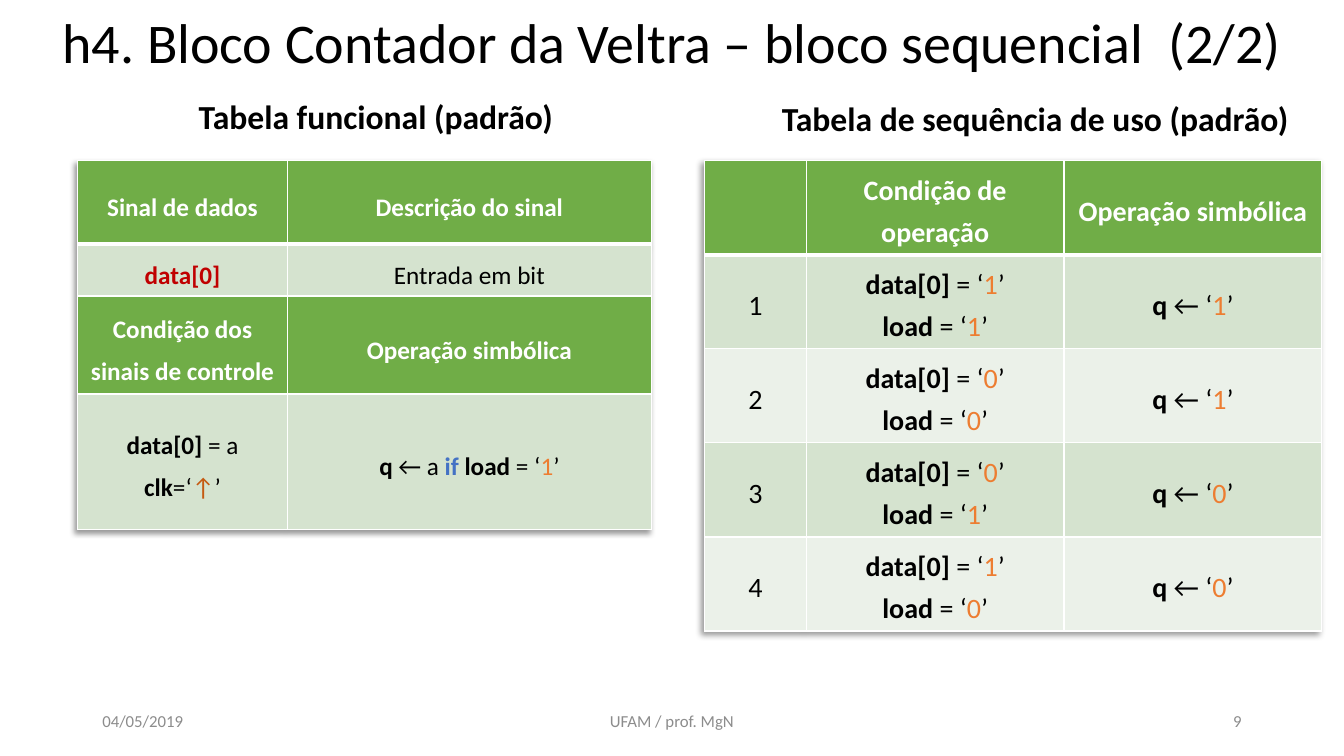
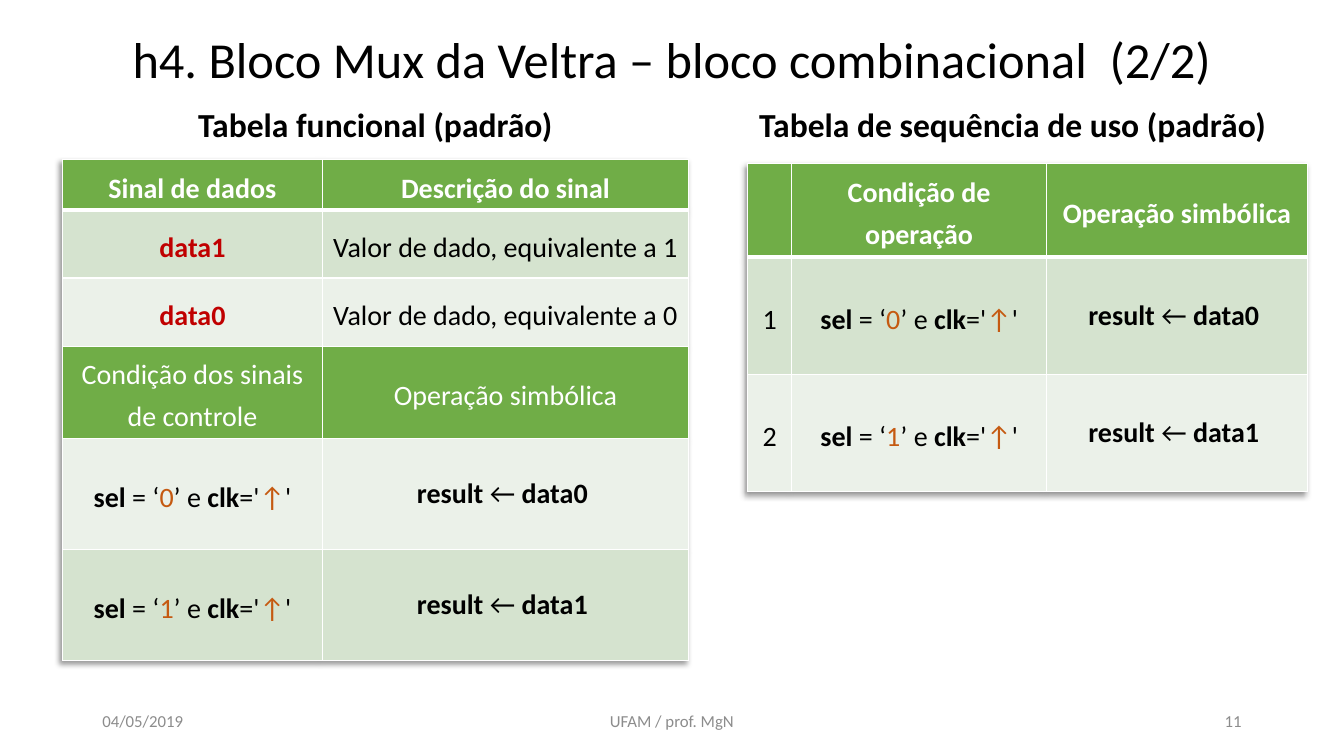
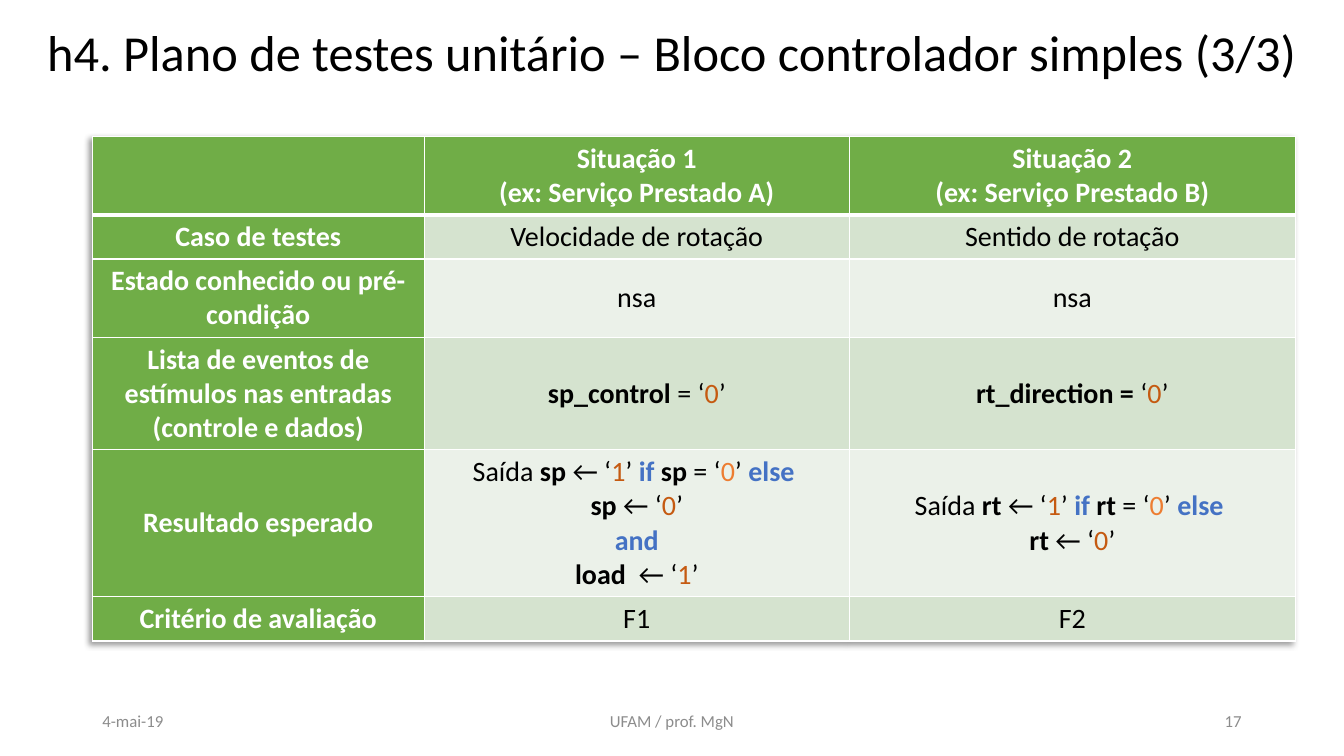
from dataclasses import dataclass
from typing import Any, Optional

from lxml.etree import SubElement
from pptx import Presentation
from pptx.dml.color import RGBColor
from pptx.enum.text import MSO_ANCHOR, MSO_AUTO_SIZE, PP_ALIGN
from pptx.oxml import parse_xml
from pptx.oxml.ns import nsdecls, qn
from pptx.util import Pt

FONT = "Calibri"
COLORS = {
    "black": "000000",
    "white": "FFFFFF",
    "gray": "8C8C8C",
    "green": "70AD47",
    "light": "D5E3CF",
    "pale": "EBF1E9",
    "red": "C00000",
    "orange": "ED7D31",
    "rust": "C55A11",
    "blue": "4472C4",
}
MARKS = {
    "*": (True, None),
    "!": (True, "red"),
    "#": (True, "blue"),
    "@": (False, "orange"),
    "^": (False, "rust"),
}
SLIDE_WIDTH = 960
SLIDE_HEIGHT = 540
TABLE_SHADOW = (
    f'<a:effectLst {nsdecls("a")}>'
    '<a:outerShdw blurRad="50800" dist="38100" dir="8100000" algn="tr" rotWithShape="0">'
    '<a:prstClr val="black"><a:alpha val="40000"/></a:prstClr>'
    "</a:outerShdw></a:effectLst>"
)


@dataclass(frozen=True)
class Box:
    left: float
    top: float
    width: float
    height: float


@dataclass(frozen=True)
class Row:
    fill: str
    height: float
    cells: tuple[str, ...]
    natural_columns: tuple[int, ...] = ()


@dataclass(frozen=True)
class Grid:
    left: float
    top: float
    columns: tuple[float, ...]
    rows: tuple[Row, ...]
    size: float = 20
    leading: Optional[float] = 30
    inset: Optional[float] = None
    header_column: bool = False


@dataclass(frozen=True)
class Heading:
    text: str
    box: Box


@dataclass(frozen=True)
class Page:
    title: str
    title_size: float
    title_height: float
    date: str
    number: str
    headings: tuple[Heading, ...]
    grids: tuple[Grid, ...]


def apply(target: Any, formats: dict[str, Any]) -> None:
    for name, value in formats.items():
        setattr(target, name, value)


def write(frame: Any, markup: str, size: float, color: str,
          align: Any = PP_ALIGN.CENTER, spacing: Any = None) -> None:
    for index, line in enumerate(markup.split("\n")):
        paragraph = frame.paragraphs[0] if index == 0 else frame.add_paragraph()
        apply(paragraph, {"alignment": align, "line_spacing": spacing})
        for segment in line.split("|"):
            bold, accent = MARKS.get(segment[0], (False, None))
            run = paragraph.add_run()
            run.text = segment[1:] if segment[0] in MARKS else segment
            apply(run.font, {"name": FONT, "size": Pt(size), "bold": bold})
            run.font.color.rgb = RGBColor.from_string(COLORS[accent or color])


def add_text(slide: Any, box: Box, markup: str, size: float, color: str,
             align: Any = PP_ALIGN.CENTER, **frame_formats: Any) -> None:
    frame = slide.shapes.add_textbox(
        Pt(box.left), Pt(box.top), Pt(box.width), Pt(box.height)).text_frame
    apply(frame, {"word_wrap": True, **frame_formats})
    write(frame, markup, size, color, align)


def add_borders(cell: Any, bottom: float) -> None:
    properties = cell._tc.get_or_add_tcPr()
    widths = {"lnL": 1, "lnR": 1, "lnT": 1, "lnB": bottom}
    for position, (side, width) in enumerate(widths.items()):
        line = SubElement(properties, qn(f"a:{side}"), w=str(int(Pt(width))))
        paint = SubElement(line, qn("a:solidFill"))
        SubElement(paint, qn("a:srgbClr"), val=COLORS["white"])
        properties.insert(position, line)


def add_grid(slide: Any, grid: Grid) -> None:
    table = slide.shapes.add_table(
        len(grid.rows), len(grid.columns), Pt(grid.left), Pt(grid.top),
        Pt(sum(grid.columns)), Pt(sum(row.height for row in grid.rows))).table
    table._tbl.tblPr.insert(0, parse_xml(TABLE_SHADOW))
    for column, width in zip(table.columns, grid.columns):
        column.width = Pt(width)
    for r, row in enumerate(grid.rows):
        table.rows[r].height = Pt(row.height)
        for c, markup in enumerate(row.cells):
            cell = table.cell(r, c)
            fill = "green" if grid.header_column and c == 0 else row.fill
            cell.fill.solid()
            cell.fill.fore_color.rgb = RGBColor.from_string(COLORS[fill])
            add_borders(cell, 3 if r == 0 else 1)
            cell.vertical_anchor = MSO_ANCHOR.MIDDLE
            if grid.inset is not None:
                apply(cell, {f"margin_{side}": Pt(grid.inset)
                             for side in ("left", "right", "top", "bottom")})
            if markup:
                exact = grid.leading and c not in row.natural_columns
                write(cell.text_frame, markup, grid.size,
                      "white" if fill == "green" else "black",
                      spacing=Pt(grid.leading) if exact else None)


def add_page(deck: Any, page: Page) -> None:
    slide = deck.slides.add_slide(deck.slide_layouts[5])
    title = slide.shapes.title
    apply(title, {"left": 0, "top": 0, "width": Pt(SLIDE_WIDTH),
                  "height": Pt(page.title_height)})
    apply(title.text_frame, {"word_wrap": True, "auto_size": MSO_AUTO_SIZE.NONE,
                             "vertical_anchor": MSO_ANCHOR.MIDDLE})
    write(title.text_frame, page.title, page.title_size, "black", spacing=0.9)
    footers = (
        (page.date, 66, 216, PP_ALIGN.LEFT),
        ("UFAM / prof. MgN", 318, 324, PP_ALIGN.CENTER),
        (page.number, 678, 216, PP_ALIGN.RIGHT),
    )
    for text, left, width, align in footers:
        add_text(slide, Box(left, 500.5, width, 28.75), text, 12, "gray", align,
                 vertical_anchor=MSO_ANCHOR.MIDDLE)
    for heading in page.headings:
        add_text(slide, heading.box, f"*{heading.text}", 24, "black",
                 auto_size=MSO_AUTO_SIZE.SHAPE_TO_FIT_TEXT)
    for grid in page.grids:
        add_grid(slide, grid)


def banding(index: int) -> str:
    return ("light", "pale")[index % 2]


def select_cells(bit: int) -> tuple[str, str]:
    return f"*sel |= ‘|^{bit}|’ e |*clk|='|^↑|'", f"*result |← |*data{bit} "


FUNCTIONAL = "Tabela funcional (padrão)"
SEQUENCE = "Tabela de sequência de uso (padrão)"
SEQUENCE_HEADER = Row("green", 67.2, ("", "*Condição de operação", "*Operação simbólica"))
COUNTER_STEPS = ((1, 1, 1), (0, 0, 1), (0, 1, 0), (1, 0, 0))

COUNTER_PAGE = Page(
    "h4. Bloco Contador da Veltra – bloco sequencial  (2/2)", 40, 65, "04/05/2019", "9",
    (Heading(FUNCTIONAL, Box(36.7, 64.8, 463.7, 36)),
     Heading(SEQUENCE, Box(519, 66.5, 441, 36))),
    (
        Grid(55.5, 114.7, (149.8, 260), (
            Row("green", 59.6, ("*Sinal de dados", "*Descrição do sinal")),
            Row("light", 37.2, ("!data[0]", "Entrada em bit")),
            Row("green", 70, ("*Condição dos sinais de controle", "*Operação simbólica")),
            Row("light", 96.5, ("*data[0] |= a\n*clk|=‘|^↑|’",
                                "*q |← a |#if |*load |= ‘|@1|’")),
        ), size=18),
        Grid(503.3, 114.7, (72.7, 184.1, 184.1), (
            SEQUENCE_HEADER,
            *(Row(banding(step), 67.2, (
                str(step + 1),
                f"*data[0] |= ‘|@{data}|’\n*load |= ‘|@{load}|’",
                f"*q |← ‘|@{output}|’",
            )) for step, (data, load, output) in enumerate(COUNTER_STEPS)),
        )),
    ),
)

MUX_PAGE = Page(
    "h4. Bloco Mux da Veltra – bloco combinacional  (2/2)", 36, 88.5, "04/05/2019", "11",
    (Heading(FUNCTIONAL, Box(44.6, 70.6, 447.1, 36)),
     Heading(SEQUENCE, Box(531.4, 70.6, 383.8, 36))),
    (
        Grid(44.6, 114, (185.8, 261.4), (
            Row("green", 35.8, ("*Sinal de dados", "*Descrição do sinal")),
            *(Row(banding(index), 48.8,
                  (f"!data{bit}", f"Valor de dado, equivalente a {bit}"))
              for index, bit in enumerate((1, 0))),
            Row("green", 65.8, ("Condição dos sinais de controle", "Operação simbólica")),
            *(Row(banding(bit + 1), 79.4, select_cells(bit), (1,)) for bit in (0, 1)),
        ), inset=2.9),
        Grid(534.2, 116.6, (31.4, 182, 186.3), (
            SEQUENCE_HEADER,
            *(Row(banding(bit), 83.6, (str(bit + 1), *select_cells(bit)), (2,))
              for bit in (0, 1)),
        ), inset=2.9),
    ),
)

TEST_PLAN_PAGE = Page(
    "h4. Plano de testes unitário – Bloco controlador simples (3/3)", 36, 79,
    "4-mai-19", "17", (),
    (
        Grid(66, 97.4, (237, 303.8, 318.4), (
            Row("green", 56, ("", *(f"*Situação {number}\n*(ex: Serviço Prestado {service})"
                                    for number, service in ((1, "A"), (2, "B"))))),
            Row("light", 31.6, ("*Caso de testes", "Velocidade de rotação",
                                "Sentido de rotação")),
            Row("pale", 56, ("*Estado conhecido ou pré-condição", "nsa", "nsa")),
            Row("light", 80.4, (
                "*Lista de eventos de estímulos nas entradas\n*(controle e dados)",
                "*sp_control |= ‘|^0|’",
                "*rt_direction = |‘|^0|’",
            )),
            Row("pale", 105, (
                "*Resultado esperado",
                *(f"Saída |*{signal} |← ‘|^1|’ |#if |*{signal}| = ‘|@0|’ |#else \n"
                  f"*{signal} |← ‘|^0|’{extra}"
                  for signal, extra in (("sp", "\n#and\n*load  |← ‘|^1|’"), ("rt", ""))),
            )),
            Row("light", 31.6, ("*Critério de avaliação", "F1", "F2")),
        ), leading=None, header_column=True),
    ),
)


def main() -> None:
    deck = Presentation()
    apply(deck, {"slide_width": Pt(SLIDE_WIDTH), "slide_height": Pt(SLIDE_HEIGHT)})
    for page in (COUNTER_PAGE, MUX_PAGE, TEST_PLAN_PAGE):
        add_page(deck, page)
    deck.save("out.pptx")


if __name__ == "__main__":
    main()
